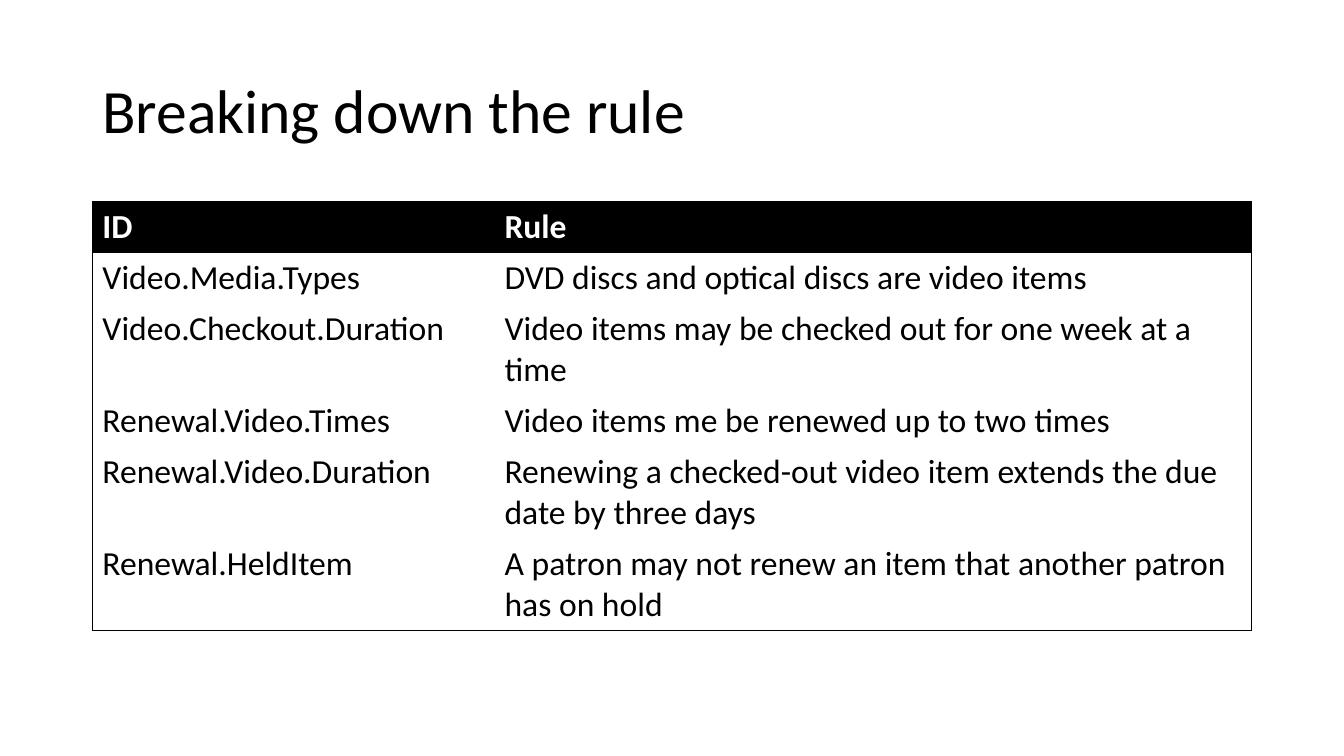
import pptx
import pptx.dml.color
import pptx.enum.text
import pptx.oxml
import pptx.oxml.ns
import pptx.util

Pt = pptx.util.Pt
BLACK = pptx.dml.color.RGBColor(0, 0, 0)
WHITE = pptx.dml.color.RGBColor(255, 255, 255)
FONT = "Calibri"

TITLE = "Breaking down the rule"
RULES = [
    ("ID", "Rule"),
    ("Video.Media.Types", "DVD discs and optical discs are video items"),
    ("Video.Checkout.Duration", "Video items may be checked out for one week at a time"),
    ("Renewal.Video.Times", "Video items me be renewed up to two times"),
    ("Renewal.Video.Duration",
     "Renewing a checked-out video item extends the due date by three days"),
    ("Renewal.HeldItem",
     "A patron may not renew an item that another patron has on hold"),
]
TWO_LINE_ROWS = {2, 4, 5}
ONE_LINE_HEIGHT, TWO_LINE_HEIGHT = 36.5, 65.5
COLUMN_WIDTHS = (287.25, 540.75)
LEFT, TITLE_TOP, TABLE_TOP = 66, 28.75, 144
TITLE_HEIGHT = 104.4
WIDTH = sum(COLUMN_WIDTHS)
BORDER_WIDTH = 0.5


def add_run(paragraph, text, size, color, bold=False):
    """Add one formatted run to a paragraph."""
    run = paragraph.add_run()
    run.text = text
    run.font.name = FONT
    run.font.size = Pt(size)
    run.font.bold = bold
    run.font.color.rgb = color


def set_borders(cell, visible_sides):
    """Draw the given sides of a cell and hide the others."""
    properties = cell._tc.get_or_add_tcPr()
    for index, side in enumerate(("L", "R", "T", "B")):
        fill = "<a:noFill/>"
        if side in visible_sides:
            fill = f'<a:solidFill><a:srgbClr val="{BLACK}"/></a:solidFill>'
        border = pptx.oxml.parse_xml(
            f'<a:ln{side} {pptx.oxml.ns.nsdecls("a")} '
            f'w="{Pt(BORDER_WIDTH)}">{fill}</a:ln{side}>')
        properties.insert(index, border)


def add_title(slide):
    """Add the slide title, centred vertically in its box."""
    box = slide.shapes.add_textbox(Pt(LEFT), Pt(TITLE_TOP), Pt(WIDTH), Pt(TITLE_HEIGHT))
    frame = box.text_frame
    frame.word_wrap = True
    frame.vertical_anchor = pptx.enum.text.MSO_ANCHOR.MIDDLE
    paragraph = frame.paragraphs[0]
    paragraph.line_spacing = 0.9
    add_run(paragraph, TITLE, 44, BLACK)


def add_rule_table(slide):
    """Add the table of rules with a black header and an outer frame."""
    heights = [TWO_LINE_HEIGHT if row in TWO_LINE_ROWS else ONE_LINE_HEIGHT
               for row in range(len(RULES))]
    table = slide.shapes.add_table(
        len(RULES), len(COLUMN_WIDTHS), Pt(LEFT), Pt(TABLE_TOP),
        Pt(WIDTH), Pt(sum(heights))).table
    table.horz_banding = False
    for column, width in zip(table.columns, COLUMN_WIDTHS):
        column.width = Pt(width)
    for row_index, (height, texts) in enumerate(zip(heights, RULES)):
        table.rows[row_index].height = Pt(height)
        header = row_index == 0
        for column_index, text in enumerate(texts):
            cell = table.cell(row_index, column_index)
            cell.fill.solid()
            cell.fill.fore_color.rgb = BLACK if header else WHITE
            add_run(cell.text_frame.paragraphs[0], text, 24,
                    WHITE if header else BLACK, header)
            sides = "L" if column_index == 0 else "R"
            if header:
                sides += "T"
            if row_index == len(RULES) - 1:
                sides += "B"
            set_borders(cell, sides)


presentation = pptx.Presentation()
presentation.slide_width = Pt(960)
presentation.slide_height = Pt(540)
slide = presentation.slides.add_slide(presentation.slide_layouts[6])
add_title(slide)
add_rule_table(slide)
presentation.save("out.pptx")
